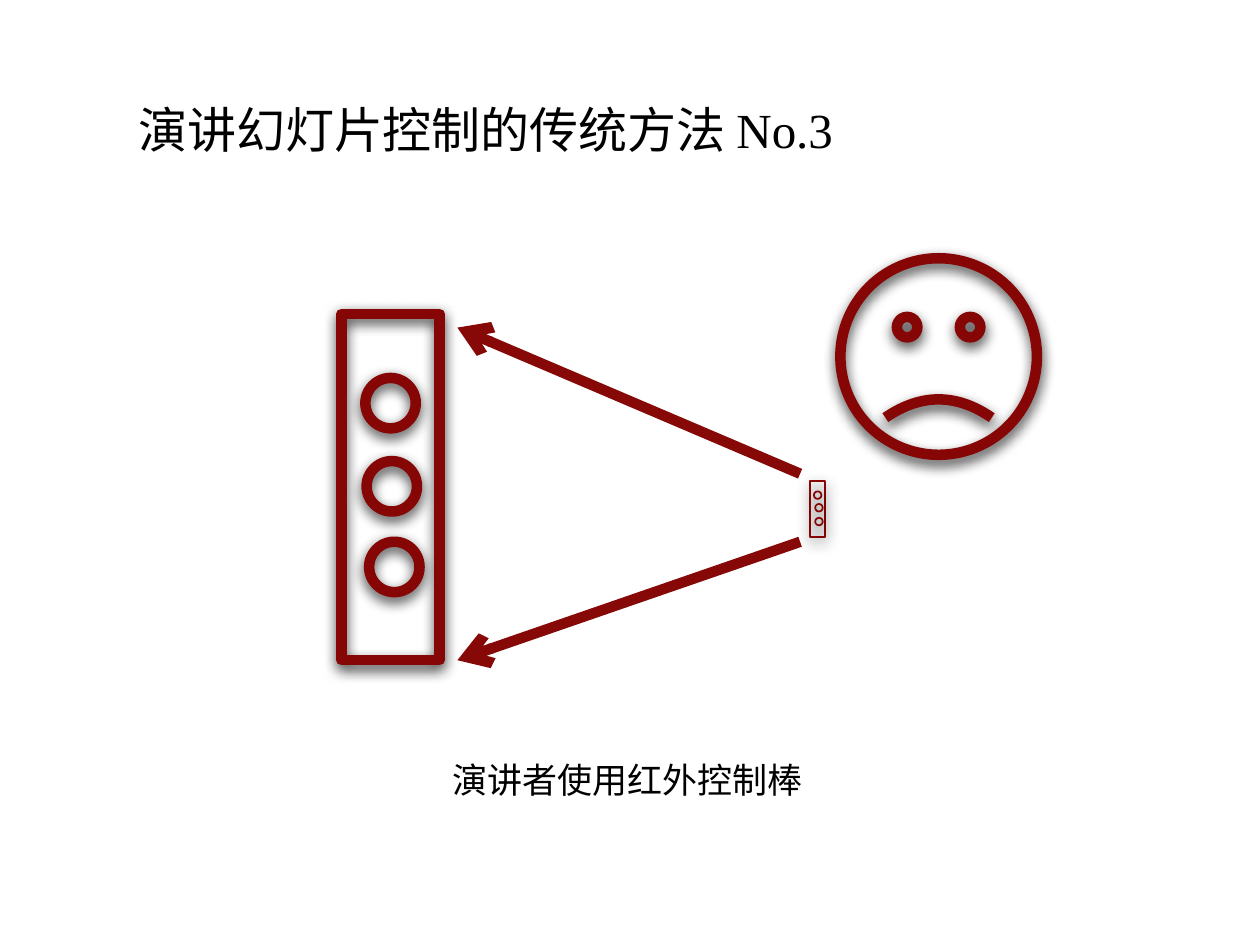
from lxml import etree
from pptx import Presentation
from pptx.dml.color import RGBColor
from pptx.enum.shapes import MSO_CONNECTOR, MSO_SHAPE
from pptx.enum.text import MSO_ANCHOR
from pptx.oxml.ns import qn
from pptx.util import Inches, Pt

RECT, OVAL, FACE = MSO_SHAPE.RECTANGLE, MSO_SHAPE.OVAL, MSO_SHAPE.SMILEY_FACE
STRAIGHT = MSO_CONNECTOR.STRAIGHT
MIDDLE, TOP = MSO_ANCHOR.MIDDLE, MSO_ANCHOR.TOP


def style_line(shape, color, width):
    """Set the line and leave the shape with an empty effect list, which is returned."""
    shape.line.color.rgb = RGBColor.from_string(color)
    shape.line.width = Pt(width)
    return etree.SubElement(shape._element.spPr, qn("a:effectLst"))


def add_outline(shapes, kind, x, y, w, h, width):
    """Add an unfilled dark red shape with a soft shadow below it."""
    sp = shapes.add_shape(kind, Inches(x), Inches(y), Inches(w), Inches(h))
    sp.fill.background()
    effects = style_line(sp, "860605", width)
    shadow = etree.SubElement(effects, qn("a:outerShdw"), blurRad=str(Pt(8)),
                              dist=str(Pt(3)), dir="5400000", rotWithShape="0")
    black = etree.SubElement(shadow, qn("a:srgbClr"), val="000000")
    etree.SubElement(black, qn("a:alpha"), val="75000")
    return sp


prs = Presentation()
prs.slide_width, prs.slide_height = Inches(10), Inches(7.5)
s = prs.slides.add_slide(prs.slide_layouts[6])

# Title and caption
texts = [
    ("演讲幻灯片控制的传统方法 No.3", 1, 0.55, 8, 0.95, 28, MIDDLE),
    ("演讲者使用红外控制棒", 3.49, 5.97, 3.21, 0.44, 20, TOP),
]
for text, x, y, w, h, size, anchor in texts:
    tf = s.shapes.add_textbox(Inches(x), Inches(y), Inches(w), Inches(h)).text_frame
    tf.word_wrap = True
    tf.vertical_anchor = anchor
    p = tf.paragraphs[0]
    p.text = text
    p.font.name = "Times New Roman"
    p.font.size = Pt(size)
    p.font.color.rgb = RGBColor.from_string("000000")

# Unhappy speaker
face = add_outline(s.shapes, FACE, 6.67, 2.05, 1.56, 1.56, 6)
face.adjustments[0] = -0.047

# Enlarged remote control, then the small one in the speaker's hand
remotes = [
    (s.shapes, (2.71, 2.49, 0.78, 2.75), 0.4, [(2.9, 3), (2.91, 3.66), (2.93, 4.3)], 6),
    (s.shapes.add_group_shape().shapes, (6.43, 3.82, 0.12, 0.44), 0.06,
     [(6.46, 3.9), (6.47, 4), (6.47, 4.11)], 1),
]
for shapes, body, button, places, width in remotes:
    add_outline(shapes, RECT, *body, width)
    for x, y in places:
        add_outline(shapes, OVAL, x, y, button, button, width)

# Arrows from the small remote to the enlarged one
for y1, y2 in [(3.76, 2.6), (4.3, 5.24)]:
    arrow = s.shapes.add_connector(STRAIGHT, Inches(6.35), Inches(y1), Inches(3.63), Inches(y2))
    style_line(arrow, "860908", 6)
    etree.SubElement(arrow.line._get_or_add_ln(), qn("a:tailEnd"), type="arrow")

prs.save("out.pptx")
